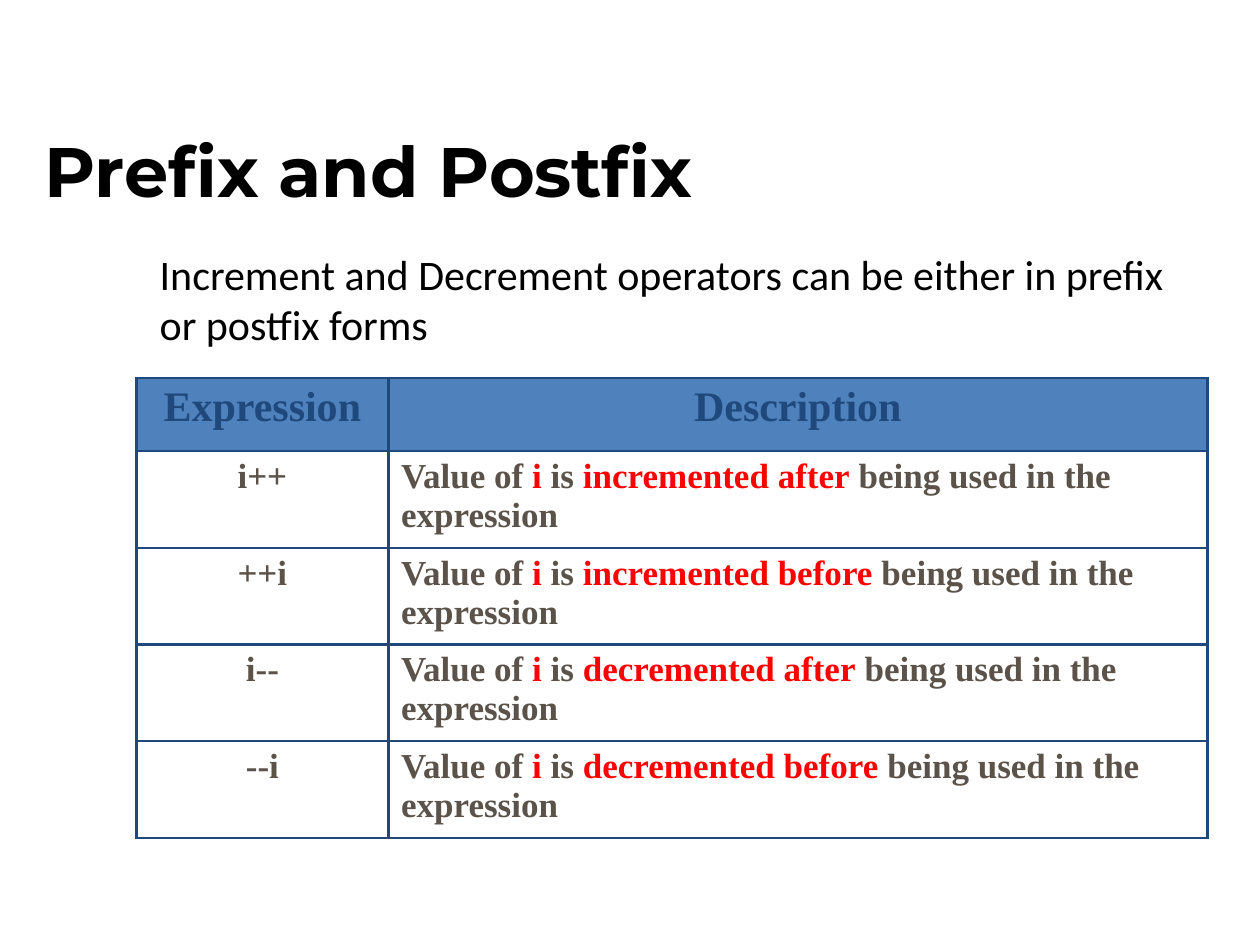
from pptx import Presentation
from pptx.dml.color import RGBColor as Color
from pptx.enum.text import MSO_ANCHOR as Anchor, PP_ALIGN as Align
from pptx.oxml import parse_xml
from pptx.oxml.ns import nsdecls
from pptx.util import Cm, Pt

COLORS = {"ink": "000000", "navy": "1F497D", "blue": "4F81BD", "brown": "5B5249", "red": "FF0000"}
FORMATS = {
    "title": {"name": "Montserrat", "size": Pt(40), "bold": True},
    "body": {"name": "Calibri", "size": Pt(24), "bold": False},
    "header": {"name": "Times New Roman", "size": Pt(24), "bold": True},
    "cell": {"name": "Times New Roman", "size": Pt(20), "bold": True},
}
OPERATORS = [
    ("i++", "incremented after"),
    ("++i", "incremented before"),
    ("i--", "decremented after"),
    ("--i", "decremented before"),
]


class SlideBuilder:
    """Hold the style and the current slide, and add its elements."""

    def __init__(self, slide, colors, formats):
        self.slide = slide
        self.colors = colors
        self.formats = formats

    def fill_text(self, frame, runs, style, align=Align.LEFT):
        frame.word_wrap = True
        paragraph = frame.paragraphs[0]
        paragraph.alignment = align
        paragraph.space_before = Pt(0)
        for text, color in runs:
            run = paragraph.add_run()
            run.text = text
            for attribute, value in self.formats[style].items():
                setattr(run.font, attribute, value)
            run.font.color.rgb = Color.from_string(self.colors[color])

    def title(self, text, left, top, width, height):
        shape = self.slide.shapes.title
        shape.left, shape.top, shape.width, shape.height = left, top, width, height
        shape.text_frame.vertical_anchor = Anchor.MIDDLE
        self.fill_text(shape.text_frame, [(text, "ink")], "title")

    def text(self, text, left, top, width, height):
        shape = self.slide.shapes.add_textbox(left, top, width, height)
        self.fill_text(shape.text_frame, [(text, "ink")], "body")

    def border(self, cell):
        properties = cell._tc.get_or_add_tcPr()
        for side in "LRTB":
            properties.append(parse_xml(
                f'<a:ln{side} {nsdecls("a")} w="{Pt(1.47)}"><a:solidFill>'
                f'<a:srgbClr val="{self.colors["navy"]}"/></a:solidFill></a:ln{side}>'
            ))

    def table(self, headings, operators, left, top, widths, header_height, row_height):
        count = len(operators)
        height = header_height + count * row_height
        table = self.slide.shapes.add_table(
            count + 1, len(widths), left, top, sum(widths), height
        ).table
        for column, width in zip(table.columns, widths):
            column.width = width
        for index, row in enumerate(table.rows):
            row.height = row_height if index else header_height
        for cell in table.iter_cells():
            self.border(cell)
            cell.fill.background()
        for index, heading in enumerate(headings):
            cell = table.cell(0, index)
            cell.fill.solid()
            cell.fill.fore_color.rgb = Color.from_string(self.colors["blue"])
            self.fill_text(cell.text_frame, [(heading, "navy")], "header", Align.CENTER)
        for index, (expression, action) in enumerate(operators, 1):
            description = [
                ("Value of ", "brown"), ("i", "red"), (" is ", "brown"),
                (action, "red"), (" being used in the expression", "brown"),
            ]
            self.fill_text(table.cell(index, 0).text_frame, [(expression, "brown")], "cell", Align.CENTER)
            self.fill_text(table.cell(index, 1).text_frame, description, "cell")


def main():
    presentation = Presentation()
    presentation.slide_width, presentation.slide_height = Cm(25.4), Cm(19.05)
    slide = presentation.slides.add_slide(presentation.slide_layouts[5])
    builder = SlideBuilder(slide, COLORS, FORMATS)
    builder.title("Prefix and Postfix", Cm(0.64), Cm(1.83), Cm(23.93), Cm(3.18))
    builder.text(
        "Increment and Decrement operators can be either in prefix or postfix forms",
        Cm(2.97), Cm(4.88), Cm(21.59), Cm(2.97),
    )
    builder.table(
        ["Expression", "Description"], OPERATORS, Cm(2.75), Cm(7.62),
        [Cm(5.08), Cm(16.51)], Cm(1.47), Cm(1.95),
    )
    presentation.save("out.pptx")


if __name__ == "__main__":
    main()
